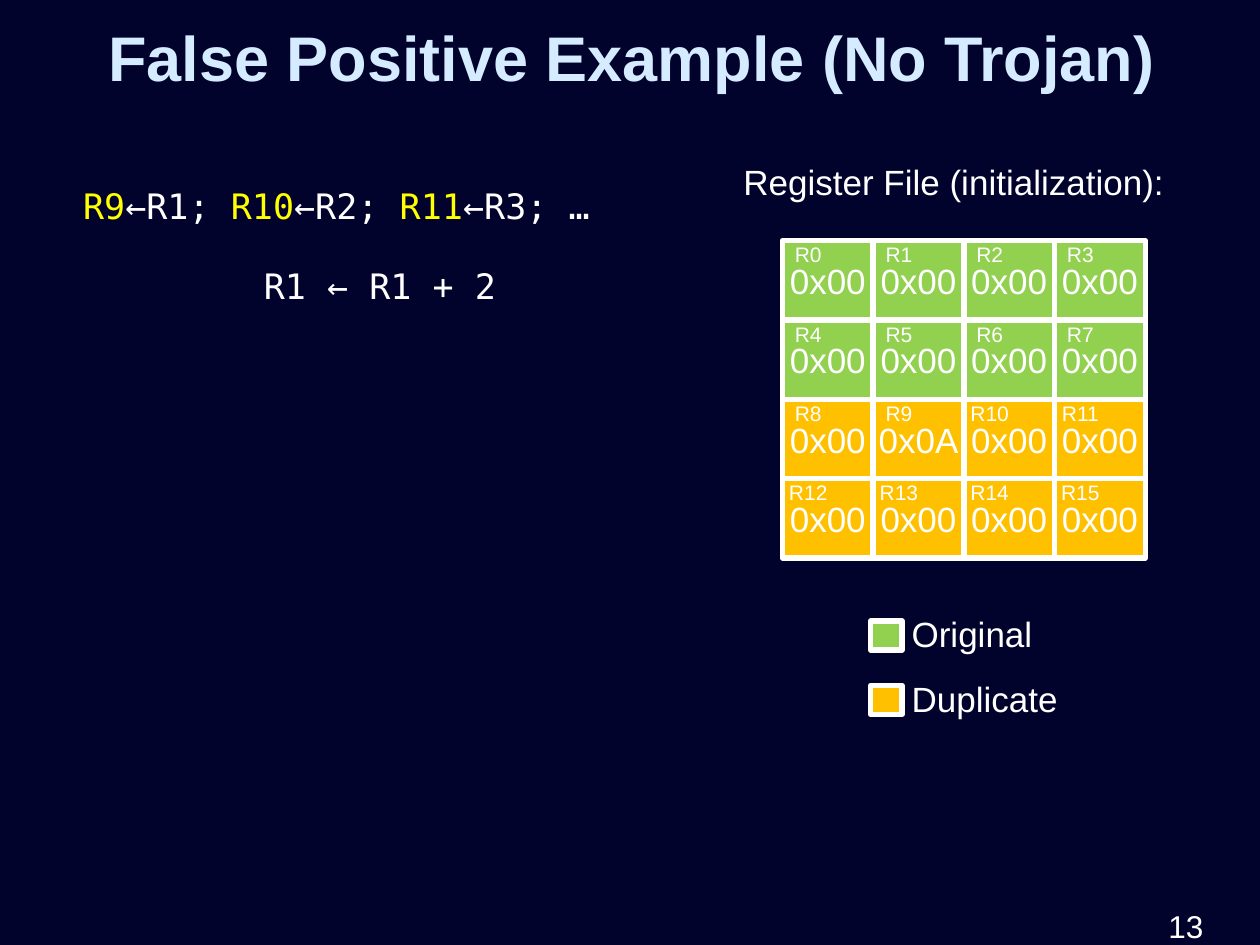
from dataclasses import dataclass

from pptx import Presentation
from pptx import util as u
from pptx.dml.color import RGBColor
from pptx.enum import shapes, text


@dataclass(frozen=True)
class Theme:
    background: str = "01032D"
    heading: str = "D5EBFF"
    plain: str = "FFFFFF"
    target: str = "FFFF00"
    original: str = "92D050"
    duplicate: str = "FFC000"
    sans: str = "Arial"
    mono: str = "DejaVu Sans Mono"
    title_size: int = 36
    body_size: int = 20
    number_size: int = 18
    label_size: int = 12
    border: int = 3


THEME = Theme()
COLUMNS, ROWS = 4, 4
GRID_LEFT, GRID_TOP = 6.21, 1.91
CELL_WIDTH, CELL_HEIGHT = 0.72, 0.63
VALUES = {9: "0x0A"}


def color(code):
    return RGBColor.from_string(code)


def write(frame, spans, size=THEME.body_size, font=THEME.sans, bold=False,
          align=text.PP_ALIGN.CENTER, anchor=text.MSO_ANCHOR.TOP,
          spacing=None, wrap=True):
    frame.word_wrap = wrap
    frame.vertical_anchor = anchor
    para = frame.paragraphs[0]
    para.alignment = align
    para.font.name = font
    para.font.size = u.Pt(size)
    para.font.bold = bold
    if spacing:
        para.line_spacing = spacing
        para.space_after = u.Pt(6)
    for words, code in spans:
        span = para.add_run()
        span.text = words
        span.font.color.rgb = color(code)


def add_text(parent, left, top, width, height, words, code=THEME.plain, **style):
    box = parent.add_textbox(*map(u.Inches, (left, top, width, height)))
    spans = [(words, code)] if isinstance(words, str) else words
    write(box.text_frame, spans, **style)


def add_square(parent, left, top, width, height, fill):
    square = parent.add_shape(shapes.MSO_SHAPE.RECTANGLE,
                              *map(u.Inches, (left, top, width, height)))
    square.shadow.inherit = False
    square.fill.solid()
    square.fill.fore_color.rgb = color(fill)
    square.line.color.rgb = color(THEME.plain)
    square.line.width = u.Pt(THEME.border)
    return square


def add_register_file(page):
    group = page.shapes.add_group_shape().shapes
    for register in range(ROWS * COLUMNS):
        row, column = divmod(register, COLUMNS)
        left = GRID_LEFT + column * CELL_WIDTH
        top = GRID_TOP + row * CELL_HEIGHT
        fill = THEME.original if row < ROWS / 2 else THEME.duplicate
        cell = add_square(group, left, top, CELL_WIDTH, CELL_HEIGHT, fill)
        write(cell.text_frame, [(VALUES.get(register, "0x00"), THEME.plain)],
              anchor=text.MSO_ANCHOR.MIDDLE, wrap=False)
        add_text(group, left - 0.06, top - 0.04, 0.53, 0.3, f"R{register}",
                 size=THEME.label_size)


def add_legend(page):
    group = page.shapes.add_group_shape().shapes
    entries = [
        ("Original", THEME.original, 4.93, 4.81, 1.17),
        ("Duplicate", THEME.duplicate, 5.44, 5.33, 1.37),
    ]
    for name, fill, key_top, name_top, width in entries:
        add_square(group, 6.91, key_top, 0.25, 0.23, fill)
        add_text(group, 7.13, name_top, width, 0.44, name, wrap=False)


def add_code(page):
    copies = [
        ("R9", THEME.target), ("←R1; ", THEME.plain),
        ("R10", THEME.target), ("←R2; ", THEME.plain),
        ("R11", THEME.target), ("←R3; …", THEME.plain),
    ]
    add_text(page.shapes, 0.48, 1.25, 4.38, 0.55, copies,
             font=THEME.mono, spacing=1.5)
    add_text(page.shapes, 1.99, 1.88, 2.05, 0.55, "R1 ← R1 + 2",
             font=THEME.mono, spacing=1.5, wrap=False)


def main():
    deck = Presentation()
    deck.slide_width, deck.slide_height = u.Inches(10), u.Inches(7.5)
    page = deck.slides.add_slide(deck.slide_layouts[6])
    page.background.fill.solid()
    page.background.fill.fore_color.rgb = color(THEME.background)

    add_text(page.shapes, 0.11, 0.09, 9.81, 0.71,
             "False Positive Example (No Trojan)", THEME.heading,
             size=THEME.title_size, bold=True, anchor=text.MSO_ANCHOR.MIDDLE)
    add_code(page)
    add_register_file(page)
    add_legend(page)
    add_text(page.shapes, 5.07, 1.06, 5, 0.55,
             "Register File (initialization):", spacing=1.5)
    add_text(page.shapes, 8.18, 7.15, 1.47, 0.35, "13",
             size=THEME.number_size, align=text.PP_ALIGN.RIGHT)
    deck.save("out.pptx")


if __name__ == "__main__":
    main()
